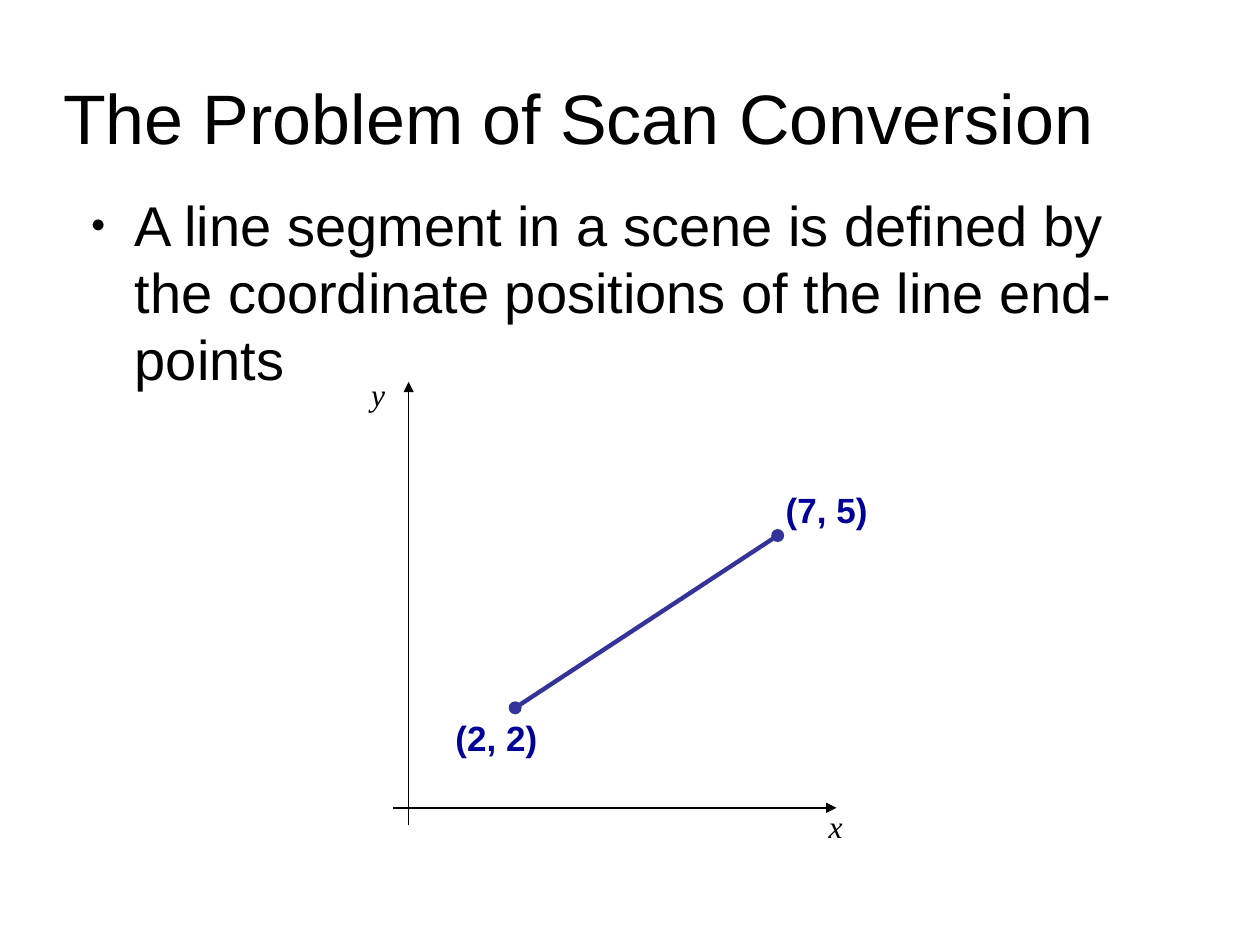
"""Build the slide that shows a line segment set by its two end-points."""
from typing import NamedTuple

from lxml import etree
from pptx import Presentation
from pptx.dml.color import RGBColor
from pptx.enum.shapes import MSO_CONNECTOR
from pptx.enum.text import MSO_ANCHOR, MSO_AUTO_SIZE, PP_ALIGN
from pptx.oxml.ns import qn
from pptx.util import Pt

BLACK = RGBColor(0x00, 0x00, 0x00)
BLUE = RGBColor(0x33, 0x33, 0x99)
NAVY = RGBColor(0x00, 0x00, 0x99)
STRAIGHT = MSO_CONNECTOR.STRAIGHT
LEFT = PP_ALIGN.LEFT
TOP, MIDDLE = MSO_ANCHOR.TOP, MSO_ANCHOR.MIDDLE
FIXED = MSO_AUTO_SIZE.NONE

AXIS = {"name": "Times New Roman", "size": Pt(18), "italic": True}
POINT = {"name": "Arial", "size": Pt(20), "bold": True}


class Line(NamedTuple):
    start: tuple[float, float]
    end: tuple[float, float]
    color: RGBColor
    width: float
    tips: dict[str, str]


class Label(NamedTuple):
    text: str
    box: tuple[float, float, float, float]
    font: dict
    color: RGBColor


ARROW = {"tailEnd": "triangle"}
DOTS = {"headEnd": "oval", "tailEnd": "oval"}
LINES = [
    Line((233.5, 471.6), (233.5, 218.2), BLACK, 1, ARROW),
    Line((224.6, 461.6), (478, 461.6), BLACK, 1, ARROW),
    Line((294.4, 404.5), (444.4, 306), BLUE, 2.5, DOTS),
]
LABELS = [
    Label("x", (466.4, 457.9, 22.3, 28.8), AXIS, BLACK),
    Label("y", (205, 211, 22.3, 28.8), AXIS, BLACK),
    Label("(2, 2)", (253.2, 406.1, 61.2, 31), POINT, NAVY),
    Label("(7, 5)", (441.9, 275.8, 61.2, 31), POINT, NAVY),
]


def style(target, values: dict) -> None:
    for key, value in values.items():
        setattr(target, key, value)


def write(frame, text: str, font: dict, color: RGBColor):
    frame.text = text
    par = frame.paragraphs[0]
    par.alignment = LEFT
    style(par.runs[0].font, font)
    par.runs[0].font.color.rgb = color
    return par


def fill(holder, text: str, size: float, box: tuple, form: dict):
    sides = ("left", "top", "width", "height")
    style(holder, dict(zip(sides, map(Pt, box))))
    style(holder.text_frame, {"auto_size": FIXED, "word_wrap": True, **form})
    font = {"name": "Arial", "size": Pt(size)}
    return write(holder.text_frame, text, font, BLACK)


def add_bullet(par) -> None:
    props = par._p.get_or_add_pPr()
    props.set("marL", str(Pt(33.8)))
    props.set("indent", str(Pt(-25.2)))
    tint = etree.SubElement(props, qn("a:buClr"))
    etree.SubElement(tint, qn("a:srgbClr"), val=str(BLACK))
    etree.SubElement(props, qn("a:buSzPct"), val="45000")
    etree.SubElement(props, qn("a:buFont"), typeface="Arial")
    etree.SubElement(props, qn("a:buChar"), char="●")


def draw_line(slide, item: Line) -> None:
    ends = map(Pt, item.start + item.end)
    line = slide.shapes.add_connector(STRAIGHT, *ends)
    line.line.color.rgb = item.color
    line.line.width = Pt(item.width)
    props = line.element.spPr
    for tag, kind in item.tips.items():
        etree.SubElement(props.find(qn("a:ln")), qn(f"a:{tag}"), type=kind)
    etree.SubElement(props, qn("a:effectLst"))


def draw_label(slide, item: Label) -> None:
    left, top, wide, high = map(Pt, item.box)
    right, low = left + wide, top + high
    path = slide.shapes.build_freeform(left, top)
    path.add_line_segments([(right, top), (right, low), (left, low)])
    shape = path.convert_to_shape()
    shape.fill.background()
    shape.line.fill.background()
    shape.shadow.inherit = False
    style(shape.text_frame, {"word_wrap": False, "vertical_anchor": TOP})
    write(shape.text_frame, item.text, item.font, item.color)


def main() -> None:
    deck = Presentation()
    deck.slide_width, deck.slide_height = Pt(720), Pt(540)
    slide = deck.slides.add_slide(deck.slide_layouts[1])
    title, body = slide.placeholders
    sides = ("left", "top", "right", "bottom")
    flush = {f"margin_{side}": 0 for side in sides}
    fill(title, "The Problem of Scan Conversion", 40,
         (36, 21.6, 648, 90), {"vertical_anchor": MIDDLE, **flush})
    par = fill(body, "A line segment in a scene is defined by the coordinate "
               "positions of the line end-points", 32,
               (36, 105.1, 648, 434.9), {"vertical_anchor": TOP})
    par.space_before = Pt(8)
    add_bullet(par)
    for item in LINES:
        draw_line(slide, item)
    for item in LABELS:
        draw_label(slide, item)
    deck.save("out.pptx")


if __name__ == "__main__":
    main()
